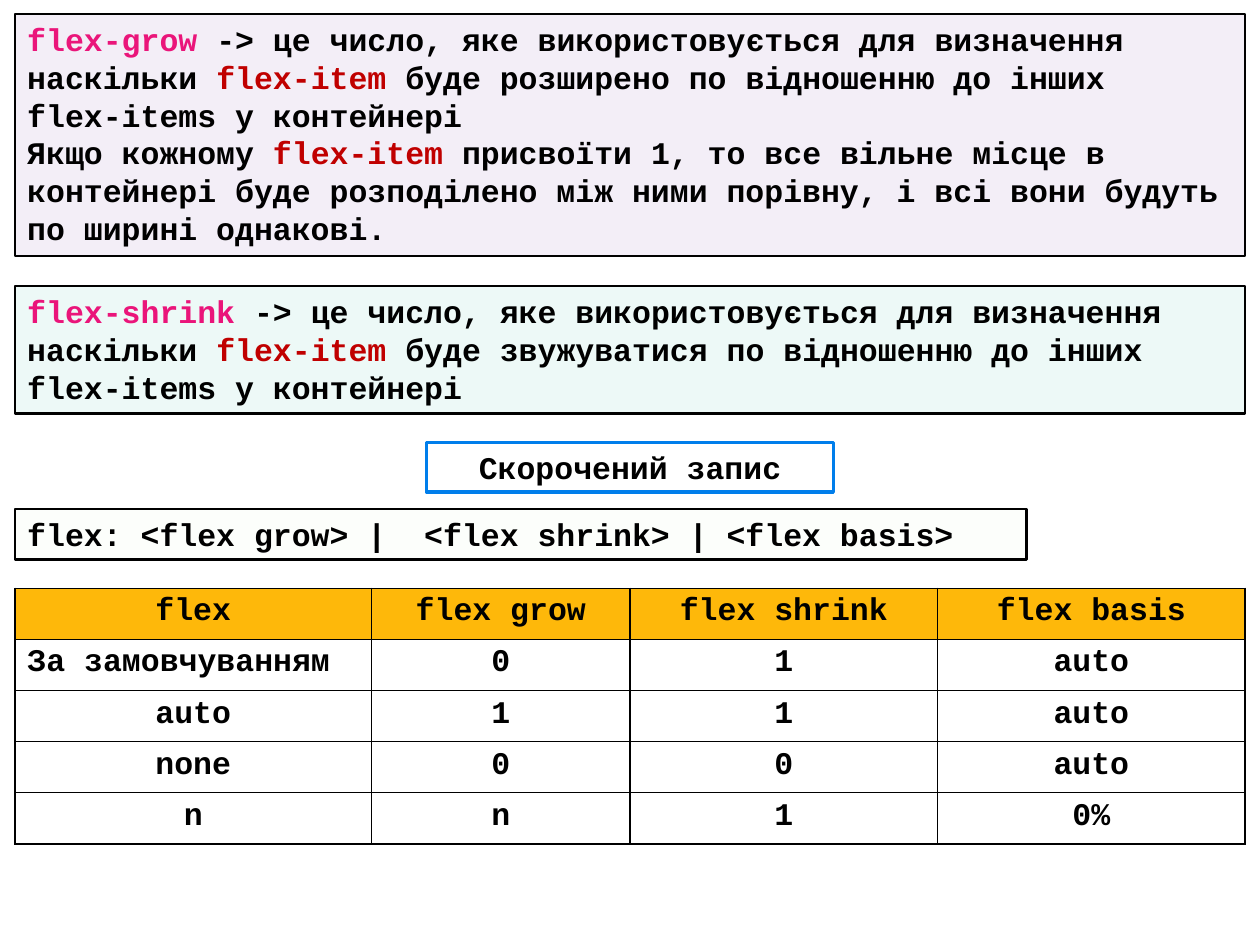
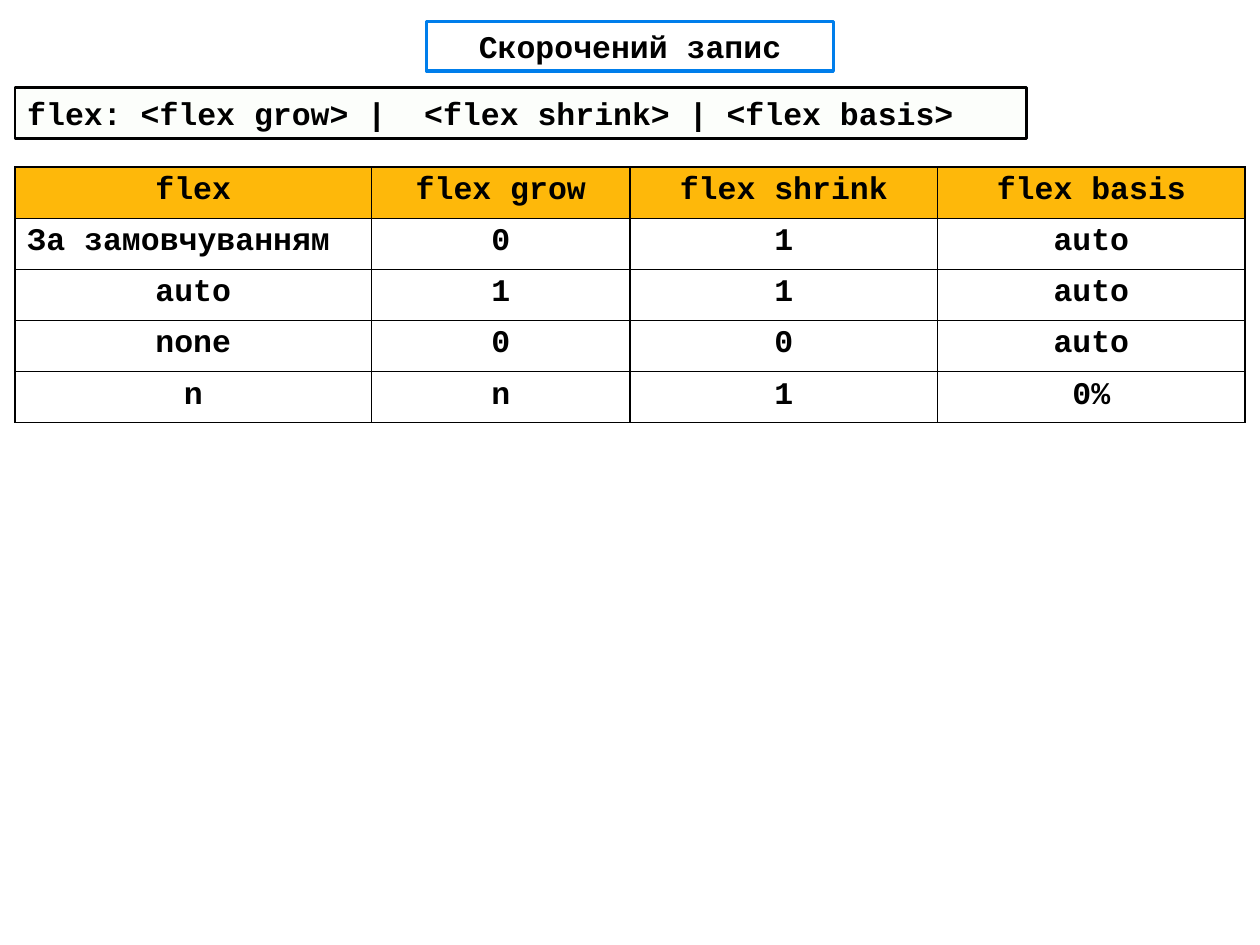
from dataclasses import dataclass

from lxml import etree
from pptx import Presentation
from pptx.dml.color import RGBColor
from pptx.enum.shapes import MSO_SHAPE
from pptx.enum.text import MSO_ANCHOR, PP_ALIGN
from pptx.oxml.ns import qn
from pptx.util import Cm, Pt

RECTANGLE = MSO_SHAPE.RECTANGLE
TOP, MIDDLE = MSO_ANCHOR.TOP, MSO_ANCHOR.MIDDLE
LEFT, CENTER = PP_ALIGN.LEFT, PP_ALIGN.CENTER


@dataclass(frozen=True)
class Theme:
    font: str = "Courier New"
    size: int = 18
    text: str = "000000"
    property_name: str = "EA157A"
    item: str = "C00000"
    white: str = "FFFFFF"
    grow_tint: str = "7030A0"
    shrink_tint: str = "1AB39F"
    formula_tint: str = "E5F6D8"
    tint_opacity: int = 8
    header: str = "FEB80A"
    title_line: str = "007EEB"
    box_line_width: float = 1.5
    title_line_width: float = 2
    table_line_width: float = 1


THEME = Theme()

# Page grid, in centimetres
PAGE_WIDTH, PAGE_HEIGHT = 25.4, 19.05
MARGIN = 0.3
CONTENT_WIDTH = PAGE_WIDTH - 2 * MARGIN
TITLE_WIDTH, TITLE_HEIGHT = 8.2, 1
FORMULA_WIDTH, FORMULA_HEIGHT = 20.4, 1.02
FORMULA_OFFSET, TABLE_OFFSET = 1.34, 2.94
COLUMN_WIDTHS = (7.19, 5.21, 6.2, 6.2)
ROW_HEIGHT = 1.03

# Content: each paragraph is a list of (text, colour) runs
GROW_TEXT = [
    [("flex-grow ", THEME.property_name),
     ("-> це число, яке використовується для визначення наскільки ", THEME.text),
     ("flex-item ", THEME.item),
     ("буде розширено по відношенню до інших", THEME.text)],
    [("flex-items у контейнері", THEME.text)],
    [("Якщо кожному ", THEME.text),
     ("flex-item ", THEME.item),
     ("присвоїти 1, то все вільне місце в контейнері буде розподілено між ними "
      "порівну, і всі вони будуть по ширині однакові.", THEME.text)],
]
SHRINK_TEXT = [
    [("flex-shrink ", THEME.property_name),
     ("-> це число, яке використовується для визначення наскільки ", THEME.text),
     ("flex-item", THEME.item),
     (" буде звужуватися по відношенню до інших", THEME.text)],
    [("flex-items у контейнері", THEME.text)],
]
TITLE_TEXT = [[("Скорочений запис", THEME.text)]]
FORMULA_TEXT = [[("flex: <flex grow> |  <flex shrink> | <flex basis>", THEME.text)]]
FLEX_VALUES = (
    ("flex", "flex grow", "flex shrink", "flex basis"),
    ("За замовчуванням", "0", "1", "auto"),
    ("auto", "1", "1", "auto"),
    ("none", "0", "0", "auto"),
    ("n", "n", "1", "0%"),
)


def write_text(text_frame, paragraphs, alignment=LEFT):
    for index, runs in enumerate(paragraphs):
        paragraph = text_frame.paragraphs[0] if index == 0 else text_frame.add_paragraph()
        paragraph.alignment = alignment
        for text, color in runs:
            run = paragraph.add_run()
            run.text = text
            run.font.name = THEME.font
            run.font.size = Pt(THEME.size)
            run.font.bold = True
            run.font.color.rgb = RGBColor.from_string(color)


def add_box(slide, left, top, width, height, paragraphs, fill, opacity=THEME.tint_opacity,
            line=THEME.text, line_width=THEME.box_line_width, alignment=LEFT, anchor=TOP):
    shape = slide.shapes.add_shape(RECTANGLE, Cm(left), Cm(top), Cm(width), Cm(height))
    shape.shadow.inherit = False
    shape.fill.solid()
    shape.fill.fore_color.rgb = RGBColor.from_string(fill)
    if opacity < 100:
        color = shape.fill._xPr.find(qn("a:solidFill"))[0]
        etree.SubElement(color, qn("a:alpha"), val=str(opacity * 1000))
    shape.line.color.rgb = RGBColor.from_string(line)
    shape.line.width = Pt(line_width)
    shape.text_frame.word_wrap = True
    shape.text_frame.vertical_anchor = anchor
    write_text(shape.text_frame, paragraphs, alignment)


def add_borders(cell):
    properties = cell._tc.get_or_add_tcPr()
    for position, side in enumerate(("lnL", "lnR", "lnT", "lnB")):
        border = etree.Element(qn(f"a:{side}"), w=str(Pt(THEME.table_line_width)))
        fill = etree.SubElement(border, qn("a:solidFill"))
        etree.SubElement(fill, qn("a:srgbClr"), val=THEME.text)
        properties.insert(position, border)


def add_flex_table(slide, top):
    row_count = len(FLEX_VALUES)
    frame = slide.shapes.add_table(row_count, len(COLUMN_WIDTHS), Cm(MARGIN), Cm(top),
                                   Cm(CONTENT_WIDTH), Cm(ROW_HEIGHT * row_count))
    table = frame.table
    table.first_row = table.horz_banding = False
    for column, width in zip(table.columns, COLUMN_WIDTHS):
        column.width = Cm(width)
    for row_index, values in enumerate(FLEX_VALUES):
        table.rows[row_index].height = Cm(ROW_HEIGHT)
        for column_index, value in enumerate(values):
            cell = table.cell(row_index, column_index)
            if row_index == 0:
                cell.fill.solid()
                cell.fill.fore_color.rgb = RGBColor.from_string(THEME.header)
            else:
                cell.fill.background()
            add_borders(cell)
            alignment = LEFT if (row_index, column_index) == (1, 0) else CENTER
            write_text(cell.text_frame, [[(value, THEME.text)]], alignment)


def add_shorthand_section(slide, top):
    """Title, formula and table of values, stacked from the given top."""
    add_box(slide, MARGIN, top + FORMULA_OFFSET, FORMULA_WIDTH, FORMULA_HEIGHT,
            FORMULA_TEXT, THEME.formula_tint)
    add_flex_table(slide, top + TABLE_OFFSET)
    add_box(slide, (PAGE_WIDTH - TITLE_WIDTH) / 2, top, TITLE_WIDTH, TITLE_HEIGHT,
            TITLE_TEXT, THEME.white, 100, THEME.title_line, THEME.title_line_width,
            CENTER, MIDDLE)


def main():
    presentation = Presentation()
    presentation.slide_width = Cm(PAGE_WIDTH)
    presentation.slide_height = Cm(PAGE_HEIGHT)
    blank_layout = presentation.slide_layouts[6]

    # Slide 1: definitions and shorthand
    slide = presentation.slides.add_slide(blank_layout)
    add_box(slide, MARGIN, 0.28, CONTENT_WIDTH, 4.88, GROW_TEXT, THEME.grow_tint)
    add_box(slide, MARGIN, 5.77, CONTENT_WIDTH, 2.57, SHRINK_TEXT, THEME.shrink_tint)
    add_shorthand_section(slide, 8.92)

    # Slide 2: shorthand only
    slide = presentation.slides.add_slide(blank_layout)
    add_shorthand_section(slide, 0.43)

    presentation.save("out.pptx")


if __name__ == "__main__":
    main()
